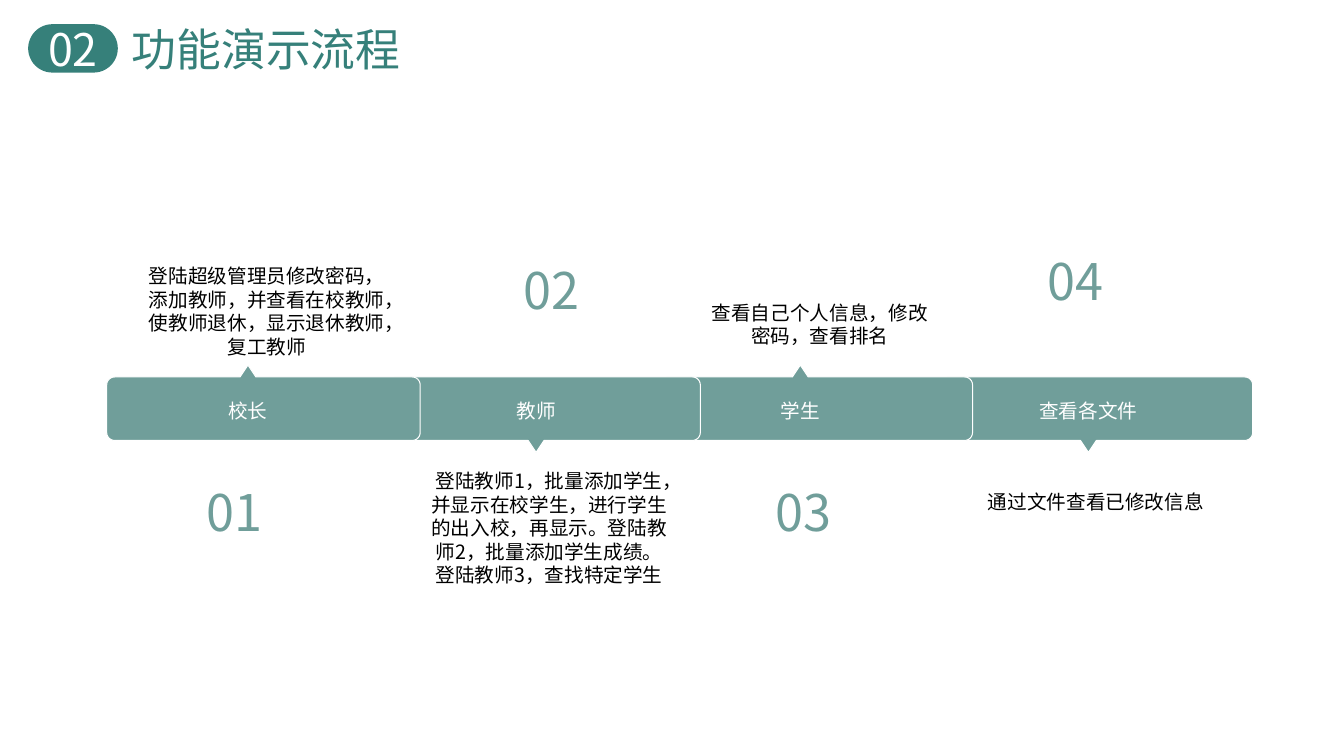
from math import cos, pi, sin

from pptx import Presentation
from pptx.dml.color import RGBColor
from pptx.enum.shapes import MSO_SHAPE as Preset
from pptx.enum.text import MSO_ANCHOR as Anchor, PP_ALIGN as Align
from pptx.oxml.ns import qn
from pptx.util import Cm, Pt

FONT = "Noto Sans CJK SC"
COLORS = {"dark": "36807A", "bar": "709E9A", "white": "FFFFFF", "black": "000000"}

SECTION, TITLE = "02", "功能演示流程"
# Boxes are (left, top, width, height) in centimetres
STEPS = [
    {"label": "校长", "left": 2.69, "up": True,
     "number": "01", "number_at": (4.95, 11.99),
     "detail": ["登陆超级管理员修改密码，添加教师，并查看在校教师，使教师退休，显示退休教师，复工教师"],
     "detail_box": (3.51, 6.65, 6.43, 2.39)},
    {"label": "教师", "left": 9.75, "up": False,
     "number": "02", "number_at": (12.95, 6.38),
     "detail": ["登陆教师1，批量添加学生，并显示在校学生，进行学生的出入校，再显示。"
                "登陆教师2，批量添加学生成绩。",
                "登陆教师3，查找特定学生"],
     "detail_box": (10.74, 11.81, 6.2, 3)},
    {"label": "学生", "left": 16.61, "up": True,
     "number": "03", "number_at": (19.3, 11.99),
     "detail": ["查看自己个人信息，修改密码，查看排名"],
     "detail_box": (17.93, 7.57, 5.46, 1.19)},
    {"label": "查看各文件", "left": 23.67, "up": False,
     "number": "04", "number_at": (26.16, 6.17),
     "detail": ["通过文件查看已修改信息"],
     "detail_box": (24.89, 12.34, 5.46, 0.6)},
]
BAR_TOP, BAR_WIDTH, BAR_HEIGHT = 9.5, 7.9, 1.6
CORNER, POINTER = 0.2, 0.3
TIP_OFFSET = {True: 3.56, False: 3.76}
LABEL_WIDTH, LABEL_HEIGHT = 5.4, 0.86
LINE_RATIO = 1.21


def color(name):
    return RGBColor.from_string(COLORS[name])


def write(shape, lines, size, tint, align=Align.CENTER, inset=(0.25, 0.13)):
    frame = shape.text_frame
    frame.word_wrap = True
    frame.margin_left, frame.margin_right = Cm(inset[0]), Cm(inset[0])
    frame.margin_top, frame.margin_bottom = Cm(inset[1]), Cm(inset[1])
    for index, line in enumerate(lines):
        para = frame.add_paragraph() if index else frame.paragraphs[0]
        para.alignment = align
        para.line_spacing = Pt(round(size * LINE_RATIO, 1))
        span = para.add_run()
        span.text = line
        span.font.size = Pt(size)
        span.font.name = FONT
        span.font.color.rgb = color(tint)
        east_asian = span.font._element.makeelement(qn("a:ea"), {"typeface": FONT})
        span.font._element.find(qn("a:latin")).addnext(east_asian)


def add_text(slide, area, lines, size, tint, **style):
    box = slide.shapes.add_textbox(*map(Cm, area))
    write(box, lines, size, tint, **style)
    return box


def bar_outline(left, tip, up):
    """Points, clockwise, of a rounded bar with a pointer on one long side."""
    right, bottom = left + BAR_WIDTH, BAR_TOP + BAR_HEIGHT
    centers = [
        (left + CORNER, BAR_TOP + CORNER), (right - CORNER, BAR_TOP + CORNER),
        (right - CORNER, bottom - CORNER), (left + CORNER, bottom - CORNER),
    ]
    corners = []
    for turn, (x, y) in enumerate(centers):
        angles = [pi + (turn + step / 6) * pi / 2 for step in range(7)]
        corners.append([(x + CORNER * cos(a), y + CORNER * sin(a)) for a in angles])
    edge, out, way = (BAR_TOP, -POINTER, 1) if up else (bottom, POINTER, -1)
    pointer = [(tip - way * 0.2, edge), (tip, edge + out), (tip + way * 0.2, edge)]
    corners.insert(1 if up else 3, pointer)
    return [(Cm(x), Cm(y)) for part in corners for x, y in part]


def add_bar(slide, step):
    tip = step["left"] + TIP_OFFSET[step["up"]]
    points = bar_outline(step["left"], tip, step["up"])
    builder = slide.shapes.build_freeform(*points[0])
    builder.add_line_segments(points[1:], close=True)
    bar = builder.convert_to_shape()
    bar.shadow.inherit = False
    bar.fill.solid()
    bar.fill.fore_color.rgb = color("bar")
    bar.line.color.rgb = color("white")
    bar.line.width = Pt(0.75)
    area = (tip - LABEL_WIDTH / 2, 9.91, LABEL_WIDTH, LABEL_HEIGHT)
    add_text(slide, area, [step["label"]], 14, "white")


def add_header(slide):
    badge = slide.shapes.add_shape(
        Preset.ROUNDED_RECTANGLE, Cm(0.71), Cm(0.61), Cm(2.26), Cm(1.22))
    badge.adjustments[0] = 0.5
    badge.shadow.inherit = False
    badge.fill.solid()
    badge.fill.fore_color.rgb = color("dark")
    badge.line.fill.background()
    write(badge, [SECTION], 32, "white")
    badge.text_frame.vertical_anchor = Anchor.MIDDLE
    add_text(slide, (2.82, 0.41, 8.84, 1.63), [TITLE], 32, "dark",
             align=Align.LEFT, inset=(0.5, 0.13))


def main():
    deck = Presentation()
    deck.slide_width, deck.slide_height = Cm(33.87), Cm(19.05)
    page = deck.slides.add_slide(deck.slide_layouts[6])
    for step in reversed(STEPS):  # each bar overlaps the one to its right
        add_bar(page, step)
    for step in STEPS:
        add_text(page, step["detail_box"], step["detail"], 14, "black", inset=(0, 0))
        add_text(page, (*step["number_at"], 2.46, 1.8), [step["number"]], 36, "bar",
                 align=Align.LEFT)
    add_header(page)
    deck.save("out.pptx")


if __name__ == "__main__":
    main()
